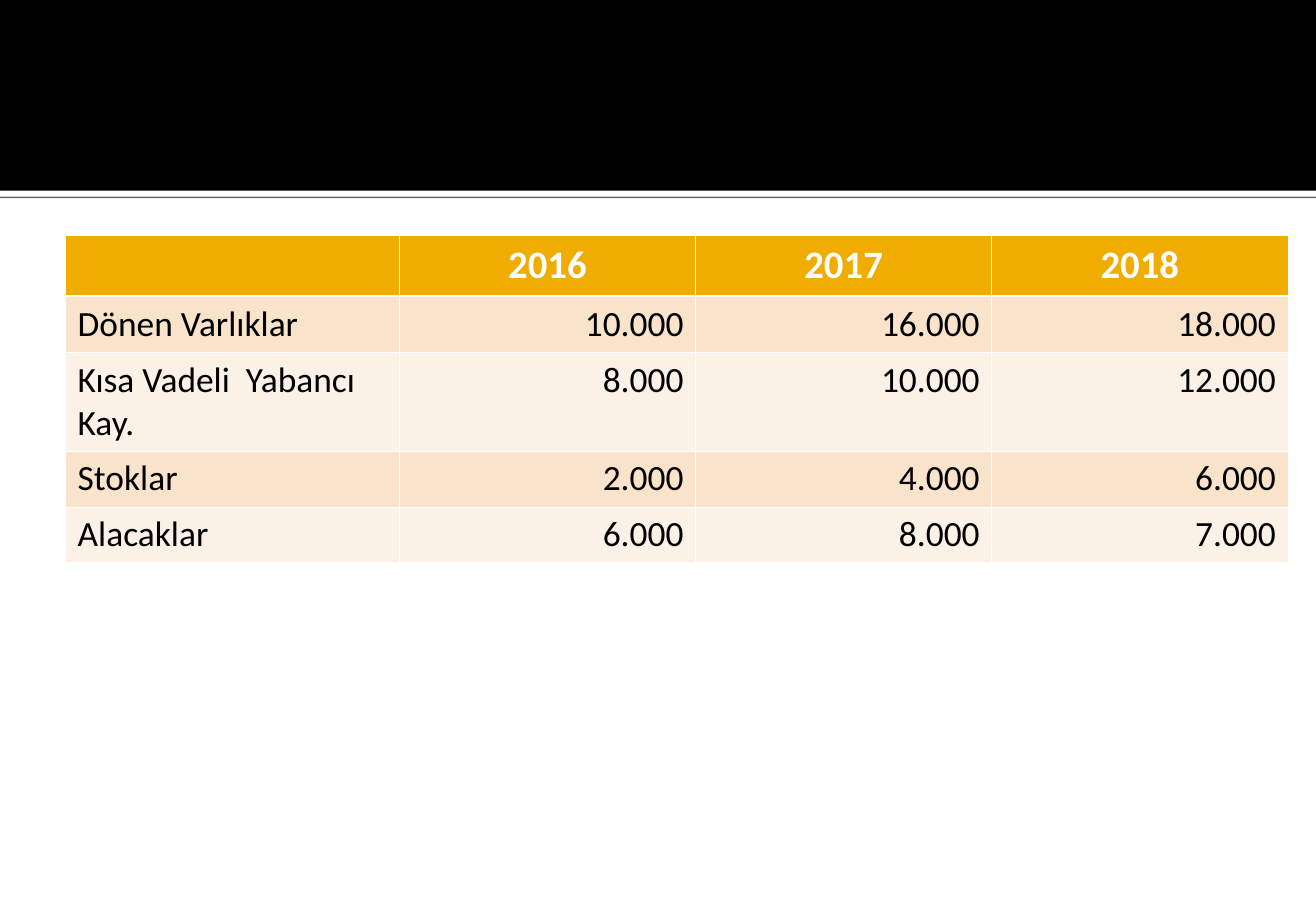
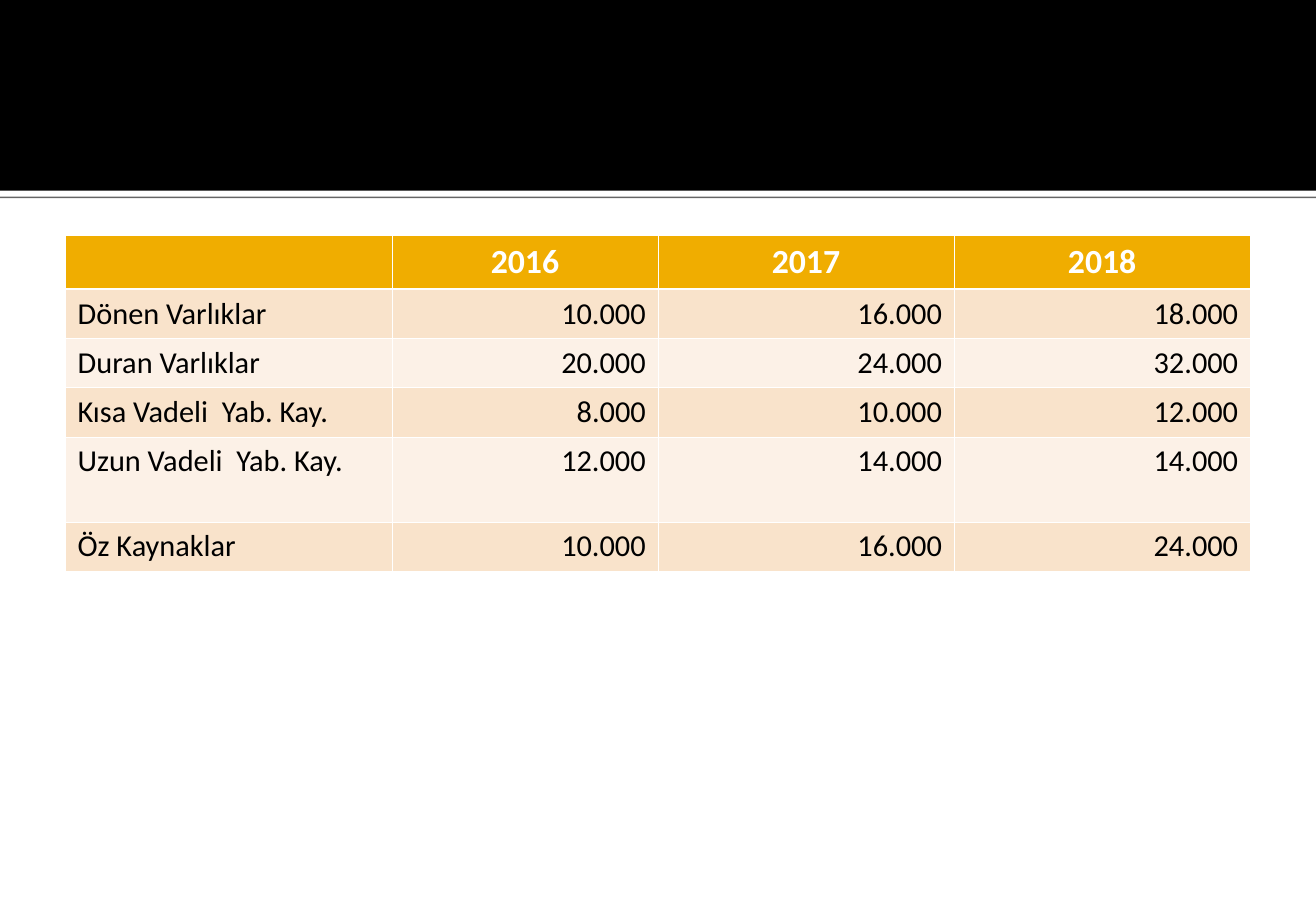
from lxml.etree import SubElement
from pptx import Presentation
from pptx.dml.color import RGBColor
from pptx.enum.shapes import MSO_SHAPE
from pptx.enum.text import PP_ALIGN
from pptx.oxml.ns import qn
from pptx.util import Inches, Pt

BLACK = RGBColor(0x00, 0x00, 0x00)
WHITE = RGBColor(0xFF, 0xFF, 0xFF)
AMBER = RGBColor(0xF0, 0xAD, 0x00)
PEACH = RGBColor(0xF9, 0xE3, 0xCB)
CREAM = RGBColor(0xFC, 0xF1, 0xE7)

FONT = "Calibri"
SLIDE_WIDTH, SLIDE_HEIGHT = 10.84, 7.5
BAND_HEIGHT, STRIP_HEIGHT = 1.57, 0.05
TABLE_LEFT, TABLE_TOP = 0.54, 1.94
GRID_LINE, HEADER_LINE = 0.45, 1.47
YEARS = ["", "2016", "2017", "2018"]


def write(cell, text, size, color=BLACK, bold=False, align=PP_ALIGN.LEFT):
    paragraph = cell.text_frame.paragraphs[0]
    paragraph.alignment = align
    font = paragraph.font
    if text:
        run = paragraph.add_run()
        run.text = text
        font = run.font
    font.name, font.size, font.bold = FONT, Pt(size), bold
    font.color.rgb = color


def add_color(parent, color):
    fill = SubElement(parent, qn("a:solidFill"))
    return SubElement(fill, qn("a:srgbClr"), val=str(color))


class Deck:
    def __init__(self):
        self.presentation = Presentation()
        self.presentation.slide_width = Inches(SLIDE_WIDTH)
        self.presentation.slide_height = Inches(SLIDE_HEIGHT)
        self.slide = None

    def new_slide(self):
        """Start a slide with the black band and its shadowed white strip."""
        self.slide = self.presentation.slides.add_slide(
            self.presentation.slide_layouts[6])
        self.slide.background.fill.solid()
        self.slide.background.fill.fore_color.rgb = WHITE
        strip = self.bar(BAND_HEIGHT, STRIP_HEIGHT, WHITE)
        self.drop_shadow(strip)
        self.bar(0, BAND_HEIGHT, BLACK)

    def bar(self, top, height, color):
        """Draw a plain rectangle across the slide."""
        bar = self.slide.shapes.add_shape(
            MSO_SHAPE.RECTANGLE, 0, Inches(top),
            Inches(SLIDE_WIDTH), Inches(height))
        bar.shadow.inherit = False
        bar.fill.solid()
        bar.fill.fore_color.rgb = color
        bar.line.fill.background()
        return bar

    def drop_shadow(self, shape):
        effects = shape.element.spPr.find(qn("a:effectLst"))
        shadow = SubElement(
            effects, qn("a:outerShdw"), blurRad="0", dist=str(Pt(0.8)),
            dir="5400000", algn="t", rotWithShape="0")
        color = SubElement(shadow, qn("a:srgbClr"), val=str(BLACK))
        SubElement(color, qn("a:alpha"), val="60000")

    def borders(self, cell, top, bottom):
        """Draw white cell edges; top and bottom are widths in points."""
        properties = cell._tc.get_or_add_tcPr()
        edges = {"lnL": GRID_LINE, "lnR": GRID_LINE, "lnT": top, "lnB": bottom}
        for edge, width in edges.items():
            add_color(SubElement(properties, qn(f"a:{edge}"),
                                 w=str(Pt(width))), WHITE)

    def table(self, items, column_widths, row_heights, header_size, body_size):
        rows = [YEARS] + items
        table = self.slide.shapes.add_table(
            len(rows), len(YEARS), Inches(TABLE_LEFT), Inches(TABLE_TOP),
            Inches(sum(column_widths)), Inches(sum(row_heights))).table
        table.horz_banding = False
        for column, width in zip(table.columns, column_widths):
            column.width = Inches(width)
        for row, height in zip(table.rows, row_heights):
            row.height = Inches(height)
        for r, values in enumerate(rows):
            for c, text in enumerate(values):
                cell = table.cell(r, c)
                self.borders(cell,
                             top=HEADER_LINE if r == 1 else GRID_LINE,
                             bottom=HEADER_LINE if r == 0 else GRID_LINE)
                cell.fill.solid()
                if r == 0:
                    cell.fill.fore_color.rgb = AMBER
                    write(cell, text, header_size, color=WHITE, bold=True,
                          align=PP_ALIGN.CENTER)
                else:
                    cell.fill.fore_color.rgb = PEACH if r % 2 else CREAM
                    write(cell, text, body_size,
                          align=PP_ALIGN.RIGHT if c else PP_ALIGN.LEFT)


def main():
    deck = Deck()

    deck.new_slide()
    deck.table(
        [["Dönen Varlıklar", "10.000", "16.000", "18.000"],
         ["Kısa Vadeli  Yabancı Kay.", "8.000", "10.000", "12.000"],
         ["Stoklar", "2.000", "4.000", "6.000"],
         ["Alacaklar", "6.000", "8.000", "7.000"]],
        column_widths=[2.75, 2.44, 2.44, 2.44],
        row_heights=[0.5, 0.46, 0.81, 0.46, 0.46],
        header_size=23, body_size=21)

    deck.new_slide()
    deck.table(
        [["Dönen Varlıklar", "10.000", "16.000", "18.000"],
         ["Duran Varlıklar", "20.000", "24.000", "32.000"],
         ["Kısa Vadeli  Yab. Kay.", "8.000", "10.000", "12.000"],
         ["Uzun Vadeli  Yab. Kay.", "12.000", "14.000", "14.000"],
         ["Öz Kaynaklar", "10.000", "16.000", "24.000"]],
        column_widths=[2.69, 2.19, 2.44, 2.44],
        row_heights=[0.43, 0.4, 0.4, 0.4, 0.7, 0.4],
        header_size=20, body_size=18)

    deck.presentation.save("out.pptx")


if __name__ == "__main__":
    main()
